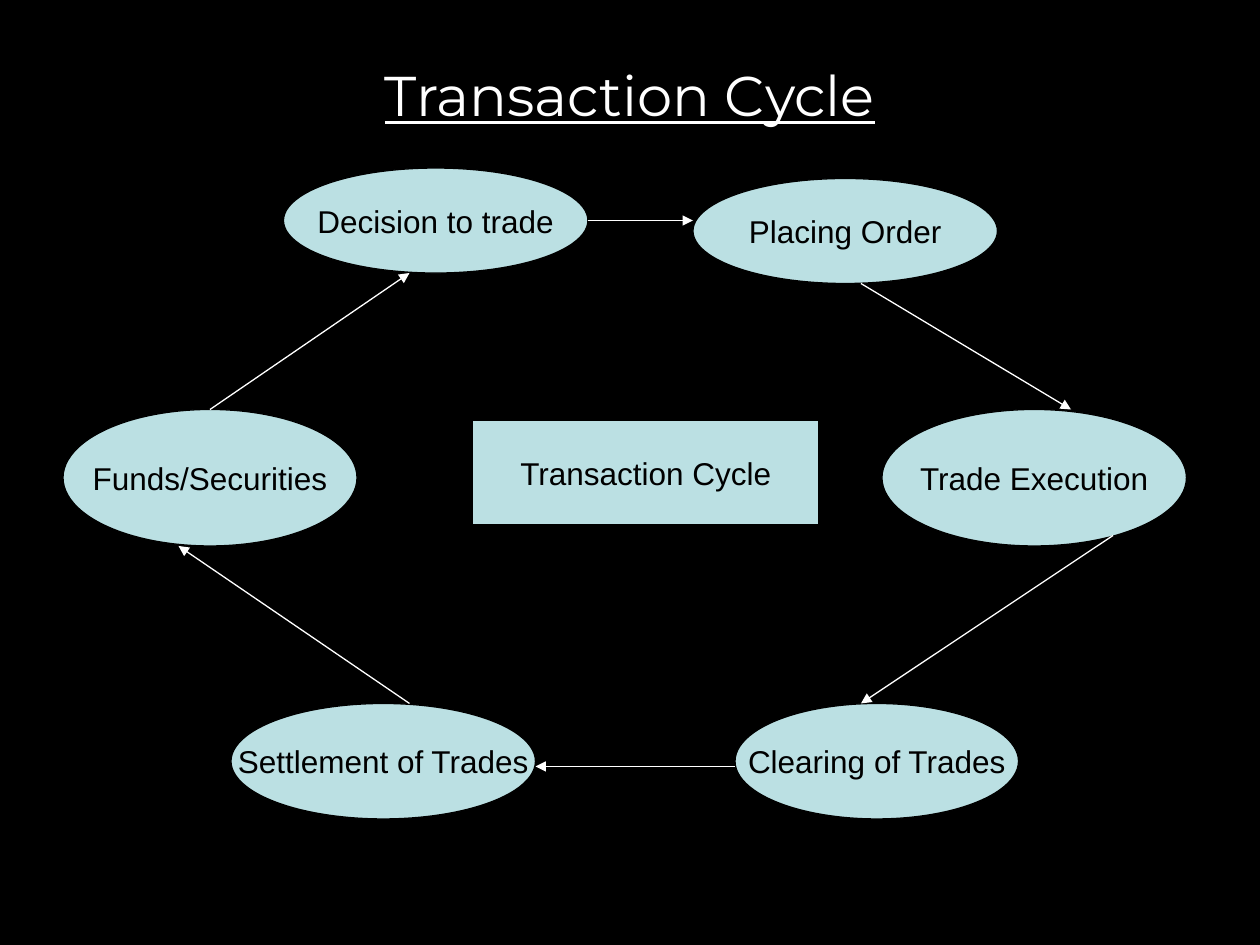
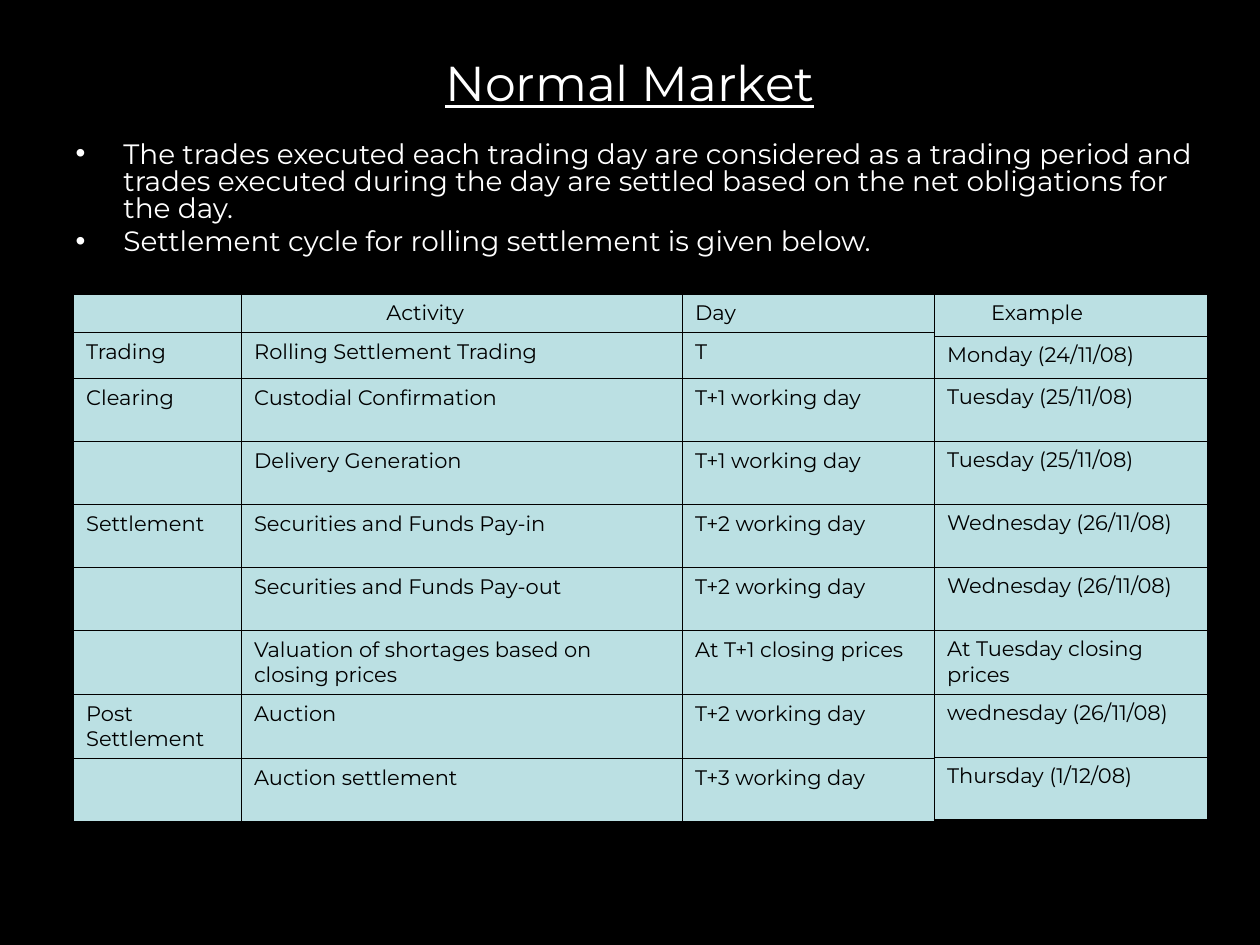
from dataclasses import dataclass

from lxml.etree import SubElement
from pptx import Presentation
from pptx.dml.color import RGBColor
from pptx.enum.shapes import MSO_CONNECTOR, MSO_SHAPE
from pptx.enum.text import MSO_ANCHOR, MSO_AUTO_SIZE, PP_ALIGN
from pptx.oxml.ns import qn
from pptx.util import Emu, Inches, Pt

WIDTH, HEIGHT = Inches(10), Inches(7.5)
UNIT = WIDTH // 120  # the slide is a grid of 120 columns by 90 rows

COLORS = {"black": "000000", "white": "FFFFFF", "panel": "BBE0E3"}
TITLE_FONT = {"name": "Montserrat", "underline": True}
BODY_FONT = {"name": "Montserrat", "size": Pt(16)}
CELL_FONT = {"name": "Montserrat", "size": Pt(12)}
NODE_FONT = {"name": "Arial", "size": Pt(18)}
INNER_BORDER, OUTER_BORDER = Pt(0.45), Pt(1.08)


@dataclass(frozen=True)
class Box:
    col: float
    row: float
    cols: float
    rows: float


@dataclass(frozen=True)
class Node:
    text: str
    box: Box
    preset: MSO_SHAPE = MSO_SHAPE.OVAL


@dataclass(frozen=True)
class Arrow:
    start: tuple[int, int]
    end: tuple[int, int]


@dataclass(frozen=True)
class Grid:
    col: float
    row: float
    widths: list[float]
    heights: list[float]
    cells: list[tuple[str, ...]]
    header_indents: dict[int, float]


NODES = [
    Node("Decision to trade", Box(27, 16, 29, 10)),
    Node("Settlement of Trades", Box(22, 67, 29, 11)),
    Node("Funds/Securities", Box(6, 39, 28, 13)),
    Node("Clearing of Trades", Box(70, 67, 27, 11)),
    Node("Placing Order", Box(66, 17, 29, 10)),
    Node("Trade Execution", Box(84, 39, 29, 13)),
    Node("Transaction Cycle", Box(45, 40, 33, 10), MSO_SHAPE.RECTANGLE),
]

ARROWS = [
    Arrow((39, 67), (17, 52)),
    Arrow((20, 39), (39, 26)),
    Arrow((56, 21), (66, 21)),
    Arrow((82, 27), (102, 39)),
    Arrow((106, 51), (82, 67)),
    Arrow((70, 73), (51, 73)),
]

BULLETS = [
    "The trades executed each trading day are considered as a trading period and "
    "trades executed during the day are settled based on the net obligations for the day.",
    "Settlement cycle for rolling settlement is given below.",
]

SCHEDULE = Grid(7, 28, [16, 42, 25], [3.6, 4.4] + [6] * 7, [
    ("", "Activity", "Day"),
    ("Trading", "Rolling Settlement Trading", "T"),
    ("Clearing", "Custodial Confirmation", "T+1 working day"),
    ("", "Delivery Generation", "T+1 working day"),
    ("Settlement", "Securities and Funds Pay-in", "T+2 working day"),
    ("", "Securities and Funds Pay-out", "T+2 working day"),
    ("", "Valuation of shortages based on closing prices", "At T+1 closing prices"),
    ("Post Settlement", "Auction", "T+2 working day"),
    ("", "Auction settlement", "T+3 working day"),
], {1: 1.05})

EXAMPLES = Grid(89, 28, [26], [4, 4] + [6] * 7, [
    ("Example",),
    ("Monday (24/11/08)",),
    ("Tuesday (25/11/08)",),
    ("Tuesday (25/11/08)",),
    ("Wednesday (26/11/08)",),
    ("Wednesday (26/11/08)",),
    ("At Tuesday closing prices",),
    ("wednesday (26/11/08)",),
    ("Thursday (1/12/08)",),
], {0: 0.35})


def grid(*units: float) -> list[Emu]:
    """Turn grid units into lengths."""
    return [Emu(round(u * UNIT)) for u in units]


def rgb(name: str) -> RGBColor:
    return RGBColor.from_string(COLORS[name])


def place(sp, box: Box) -> None:
    sp.left, sp.top, sp.width, sp.height = grid(box.col, box.row, box.cols, box.rows)


def write(p, text: str, font: dict, color: str) -> None:
    r = p.add_run()
    r.text = text
    for name, value in font.items():
        setattr(r.font, name, value)
    r.font.color.rgb = rgb(color)


def add_slide(prs, layout: int, title: str, box: Box, size: int):
    slide = prs.slides.add_slide(prs.slide_layouts[layout])
    sp = slide.shapes.title
    place(sp, box)
    tf = sp.text_frame
    tf.auto_size, tf.vertical_anchor = MSO_AUTO_SIZE.NONE, MSO_ANCHOR.MIDDLE
    p = tf.paragraphs[0]
    p.alignment = PP_ALIGN.CENTER
    write(p, title, TITLE_FONT | {"size": Pt(size)}, "white")
    return slide


def add_node(slide, node: Node) -> None:
    b = node.box
    sp = slide.shapes.add_shape(node.preset, *grid(b.col, b.row, b.cols, b.rows))
    sp.shadow.inherit = False
    sp.fill.solid()
    sp.fill.fore_color.rgb = rgb("panel")
    sp.line.color.rgb = rgb("black")
    sp.line.width = Pt(0.75)
    tf = sp.text_frame
    tf.word_wrap, tf.vertical_anchor = False, MSO_ANCHOR.MIDDLE
    p = tf.paragraphs[0]
    p.alignment = PP_ALIGN.CENTER
    write(p, node.text, NODE_FONT, "black")


def add_arrow(slide, arrow: Arrow) -> None:
    cx = slide.shapes.add_connector(MSO_CONNECTOR.STRAIGHT, *grid(*arrow.start, *arrow.end))
    cx.line.color.rgb = rgb("white")
    cx.line.width = Pt(0.75)
    sp_pr = cx._element.spPr
    SubElement(sp_pr.find(qn("a:ln")), qn("a:tailEnd"), type="triangle")
    SubElement(sp_pr, qn("a:effectLst"))


def add_bullets(sp, box: Box, items: list[str]) -> None:
    place(sp, box)
    tf = sp.text_frame
    tf.auto_size = MSO_AUTO_SIZE.NONE
    for i, item in enumerate(items):
        p = tf.add_paragraph() if i else tf.paragraphs[0]
        p.line_spacing, p.space_before = 0.8, Pt(4)
        pPr = p._p.get_or_add_pPr()
        pPr.set("marL", str(Inches(0.38)))
        pPr.set("indent", str(-Inches(0.38)))
        SubElement(SubElement(pPr, qn("a:buClr")), qn("a:srgbClr"), val=COLORS["white"])
        SubElement(pPr, qn("a:buChar"), char="•")
        write(p, item, BODY_FONT, "white")


def set_borders(cell, outer: dict[str, bool]) -> None:
    """Draw the four cell borders, thicker on the table's outer edges."""
    tcPr = cell._tc.get_or_add_tcPr()
    for side, is_outer in outer.items():
        ln = SubElement(tcPr, qn(f"a:ln{side}"), w=str(OUTER_BORDER if is_outer else INNER_BORDER))
        SubElement(SubElement(ln, qn("a:solidFill")), qn("a:srgbClr"), val=COLORS["black"])


def add_grid(slide, data: Grid) -> None:
    n_rows, n_cols = len(data.heights), len(data.widths)
    area = grid(data.col, data.row, sum(data.widths), sum(data.heights))
    table = slide.shapes.add_table(n_rows, n_cols, *area).table
    table.first_row = table.horz_banding = False
    for column, width in zip(table.columns, grid(*data.widths)):
        column.width = width
    for row, height in zip(table.rows, grid(*data.heights)):
        row.height = height
    for i, texts in enumerate(data.cells):
        for j, text in enumerate(texts):
            cell = table.cell(i, j)
            set_borders(cell, {"L": j == 0, "R": j == n_cols - 1,
                               "T": i == 0, "B": i == n_rows - 1})
            cell.fill.solid()
            cell.fill.fore_color.rgb = rgb("panel")
            p = cell.text_frame.paragraphs[0]
            if text:
                p.space_before = Pt(3)
                write(p, text, CELL_FONT, "black")
            else:
                SubElement(p._p, qn("a:endParaRPr"), sz="1200")
    for j, indent in data.header_indents.items():
        table.cell(0, j).margin_left = Inches(0.1 + indent)


def main() -> None:
    prs = Presentation()
    prs.slide_width, prs.slide_height = WIDTH, HEIGHT
    background = prs.slide_master.background.fill
    background.solid()
    background.fore_color.rgb = rgb("black")

    cycle = add_slide(prs, 5, "Transaction Cycle", Box(6, 4, 108, 10), 32)
    for node in NODES:
        add_node(cycle, node)
    for arrow in ARROWS:
        add_arrow(cycle, arrow)

    market = add_slide(prs, 1, "Normal Market", Box(6, 3.6, 108, 8.4), 28)
    add_bullets(market.placeholders[1], Box(6, 13, 109, 13), BULLETS)
    for data in (SCHEDULE, EXAMPLES):
        add_grid(market, data)

    prs.save("out.pptx")


if __name__ == "__main__":
    main()
